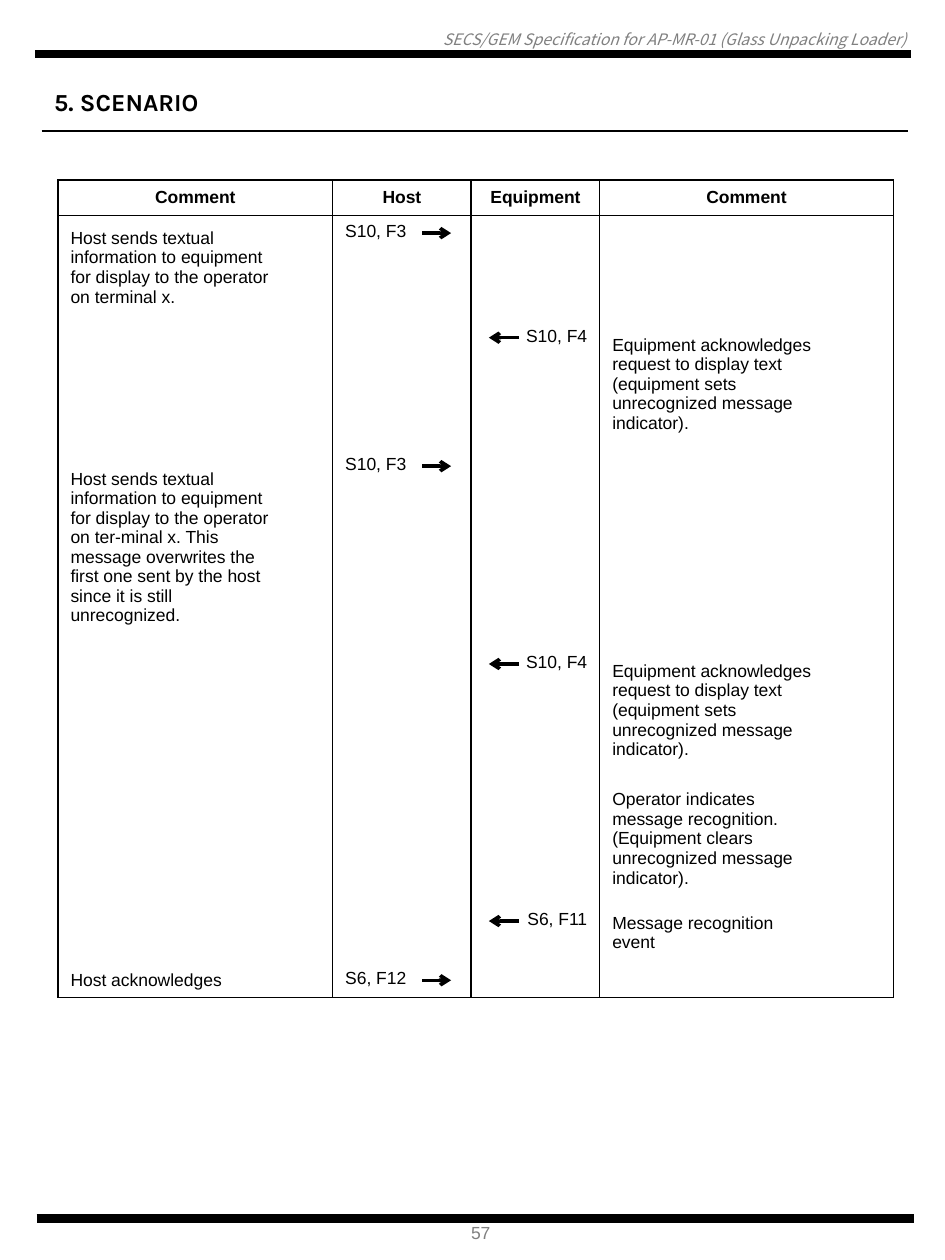
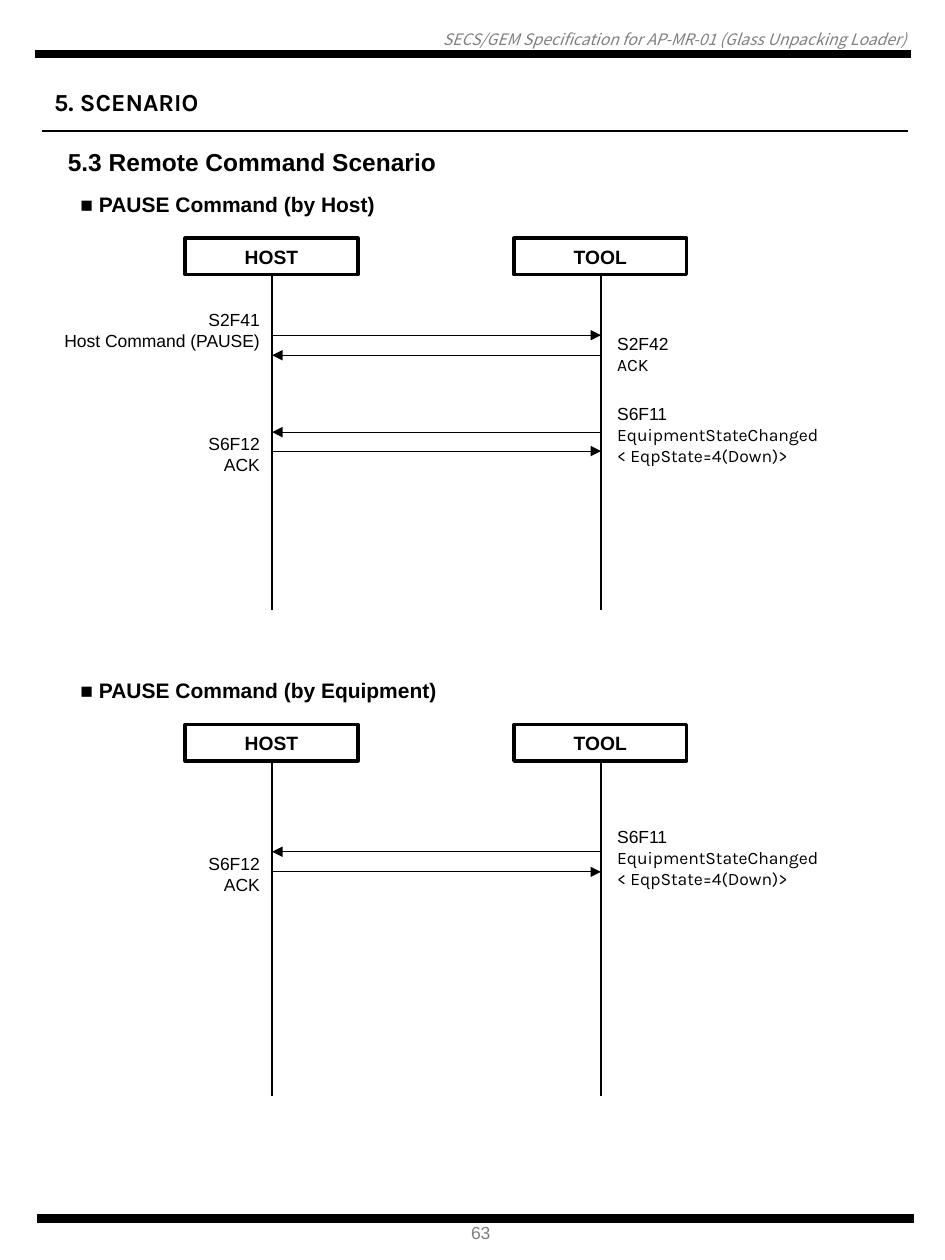
from collections import namedtuple
from dataclasses import dataclass
from itertools import accumulate

from lxml import etree
from pptx import Presentation
from pptx.dml.color import RGBColor
from pptx.enum.shapes import MSO_CONNECTOR, MSO_SHAPE
from pptx.enum.text import MSO_ANCHOR, MSO_AUTO_SIZE, PP_ALIGN
from pptx.oxml.ns import qn
from pptx.util import Inches, Pt

STRAIGHT = MSO_CONNECTOR.STRAIGHT
RECTANGLE = MSO_SHAPE.RECTANGLE
TOP, MIDDLE = MSO_ANCHOR.TOP, MSO_ANCHOR.MIDDLE
LEFT, CENTER, RIGHT = PP_ALIGN.LEFT, PP_ALIGN.CENTER, PP_ALIGN.RIGHT
NO_AUTOFIT = MSO_AUTO_SIZE.NONE


@dataclass(frozen=True)
class Theme:
    """Colours, fonts and type sizes of the document."""
    ink: RGBColor = RGBColor(0, 0, 0)
    paper: RGBColor = RGBColor(255, 255, 255)
    grey: RGBColor = RGBColor(128, 128, 128)
    body_font: str = "Arial"
    accent_font: str = "Karla"
    header_font: str = "Noto Sans CJK KR"
    header: float = 9
    body: float = 10
    box: float = 11
    heading: float = 12
    title: float = 14
    band: float = 4.75
    rule: float = 0.75


THEME = Theme()
Box = namedtuple("Box", "left top width height")
Message = namedtuple("Message", "sender arrow_y label_y lines")

TITLE = "5. SCENARIO"
HEADER = "SECS/GEM Specification for AP-MR-01 (Glass Unpacking Loader)"
COLUMNS = [2.18, 1.1, 1.02, 2.33]
COLUMN_HEADS = ["Comment", "Host", "Equipment", "Comment"]
DISPLAY_TEXT = "Host sends textual\ninformation to equipment\nfor display to the operator\n"
ACKNOWLEDGE = ("Equipment acknowledges\nrequest to display text\n(equipment sets\n"
               "unrecognized message\nindicator).")
STEPS = [
    (0.83, DISPLAY_TEXT + "on terminal x.", "S10, F3", "", ""),
    (1.02, "", "", "S10, F4", ACKNOWLEDGE),
    (1.57, DISPLAY_TEXT + "on ter-minal x. This\nmessage overwrites the\n"
     "first one sent by the host\nsince it is still\nunrecognized.", "S10, F3", "", ""),
    (1.02, "", "", "S10, F4", ACKNOWLEDGE),
    (1.02, "", "", "", "Operator indicates\nmessage recognition.\n(Equipment clears\n"
     "unrecognized message\nindicator)."),
    (0.47, "", "", "S6, F11", "Message recognition\nevent"),
    (0.28, "Host acknowledges", "S6, F12", "", ""),
]
STATE_CHANGED = "S6F11\nEquipmentStateChanged\n< EqpState=4(Down)>"
PAUSE_SCENARIOS = [
    ("■ PAUSE Command (by Host)", [
        Message("HOST", 1.19, 0.93, "S2F41\nHost Command (PAUSE)"),
        Message("TOOL", 1.35, 1.12, "S2F42\nACK"),
        Message("TOOL", 1.96, 1.67, STATE_CHANGED),
        Message("HOST", 2.11, 1.91, "S6F12\nACK"),
    ]),
    ("■ PAUSE Command (by Equipment)", [
        Message("TOOL", 1.43, 1.17, STATE_CHANGED),
        Message("HOST", 1.59, 1.39, "S6F12\nACK"),
    ]),
]


def style_text(tf, size, bold=False, italic=False, color=THEME.ink,
               font=THEME.body_font, align=LEFT):
    """Format every paragraph and run of a text frame."""
    for p in tf.paragraphs:
        p.alignment = align
        for r in p.runs:
            r.font.size, r.font.bold, r.font.italic = Pt(size), bold, italic
            r.font.name, r.font.color.rgb = font, color


def add_text(s, box, text, size, wrap=True, anchor=TOP, **style):
    """Add a formatted text box and return its text frame."""
    tf = s.shapes.add_textbox(*map(Inches, box)).text_frame
    tf.text, tf.word_wrap, tf.vertical_anchor = text, wrap, anchor
    style_text(tf, size, **style)
    return tf


def add_line(s, start, end, width, arrow=None):
    """Draw a straight line, with an arrowhead at its end if one is named."""
    line = s.shapes.add_connector(STRAIGHT, *map(Inches, (*start, *end)))
    line.line.color.rgb, line.line.width = THEME.ink, Pt(width)
    if arrow:
        etree.SubElement(line.line._get_or_add_ln(), qn("a:tailEnd"), type=arrow)
    etree.SubElement(line._element.spPr, qn("a:effectLst"))


def add_page(prs, number):
    """Add a slide with the title, header, bands and page number."""
    s = prs.slides.add_slide(prs.slide_layouts[5])
    title = s.shapes.title
    title.left, title.top, title.width, title.height = map(Inches, (0.33, 0.64, 1.5, 0.34))
    tf = title.text_frame
    tf.text, tf.word_wrap, tf.vertical_anchor = TITLE, False, TOP
    tf.auto_size = NO_AUTOFIT
    style_text(tf, THEME.title, bold=True, font=THEME.accent_font)
    add_line(s, (0.33, 1.04), (7.21, 1.04), THEME.rule)

    header = add_text(s, Box(0.05, 0.24, 7.14, 0.15), HEADER, THEME.header, italic=True,
                      color=THEME.grey, font=THEME.header_font, align=RIGHT)
    header.margin_left = header.margin_right = header.margin_top = header.margin_bottom = 0
    add_line(s, (0.28, 0.43), (7.23, 0.43), THEME.band)
    add_line(s, (0.29, 9.67), (7.25, 9.67), THEME.band)
    add_text(s, Box(3.64, 9.65, 0.37, 0.27), str(number), THEME.body, wrap=False,
             color=THEME.grey)
    return s


def set_borders(cell, sides):
    """Draw the named cell sides and clear the others."""
    tc_pr = cell._tc.get_or_add_tcPr()
    for i, side in enumerate("LRTB"):
        ln = etree.Element(qn(f"a:ln{side}"), w=str(Pt(1)))
        if side in sides:
            fill = etree.SubElement(ln, qn("a:solidFill"))
            etree.SubElement(fill, qn("a:srgbClr"), val=str(THEME.ink))
        else:
            etree.SubElement(ln, qn("a:noFill"))
        tc_pr.insert(i, ln)


def fill_cell(cell, text, sides, **style):
    """Write and format one table cell."""
    cell.text = text
    cell.fill.background()
    style_text(cell.text_frame, THEME.body, **style)
    if not text:
        end = cell.text_frame.paragraphs[0]._p.get_or_add_endParaRPr()
        end.set("sz", str(THEME.body * 100))
    set_borders(cell, sides)


def add_message_table(s, left, top):
    """Build the host and equipment table with an arrow beside each message."""
    heights = [0.28] + [step[0] for step in STEPS]
    box = Box(left, top, sum(COLUMNS), sum(heights))
    frame = s.shapes.add_table(len(heights), len(COLUMNS), *map(Inches, box))
    table = frame.table
    table.first_row = table.horz_banding = False
    for column, width in zip(table.columns, COLUMNS):
        column.width = Inches(width)
    for row, height in zip(table.rows, heights):
        row.height = Inches(height)
    for j, text in enumerate(COLUMN_HEADS):
        cell = table.cell(0, j)
        fill_cell(cell, text, "LRTB", bold=True, align=CENTER)
        cell.vertical_anchor = MIDDLE

    host_x, equipment_x = [left + x for x in accumulate(COLUMNS)][:2]
    row_tops = [top + y for y in accumulate(heights)]
    for i, (_, *texts) in enumerate(STEPS, 1):
        sides = "LR" + ("T" if i == 1 else "") + ("B" if i == len(STEPS) else "")
        for j, text in enumerate(texts):
            cell = table.cell(i, j)
            fill_cell(cell, text, sides, align=RIGHT if j == 2 else LEFT)
            cell.vertical_anchor = MIDDLE if j in (0, 3) else TOP
        y = row_tops[i - 1] + 0.14
        if texts[1]:
            add_line(s, (host_x + 0.71, y), (host_x + 0.94, y), 2, "arrow")
        if texts[2]:
            add_line(s, (equipment_x + 0.38, y), (equipment_x + 0.14, y), 2, "arrow")


def add_lifeline(s, x, top, name):
    """Draw a named box with the vertical line below it."""
    box = Box(x - 0.69, top, 1.37, 0.29)
    sp = s.shapes.add_shape(RECTANGLE, *map(Inches, box))
    sp.shadow.inherit = False
    sp.fill.solid()
    sp.fill.fore_color.rgb = THEME.paper
    sp.line.color.rgb, sp.line.width = THEME.ink, Pt(2)
    sp.text_frame.text = name
    sp.text_frame.vertical_anchor = MIDDLE
    style_text(sp.text_frame, THEME.box, bold=True, align=CENTER)
    add_line(s, (x, top + 0.29), (x, top + 2.95), THEME.rule)


def add_message(s, message, top, lifelines):
    """Draw one arrow from its sender and the label beside the sender."""
    start = lifelines[message.sender]
    end = next(x for name, x in lifelines.items() if name != message.sender)
    y = top + message.arrow_y
    add_line(s, (start, y), (end, y), 0.5, "triangle")

    from_host = message.sender == "HOST"
    height = 0.1 + 0.17 * len(message.lines.splitlines())
    label_left = start - 2.1 if from_host else start + 0.03
    tf = add_text(s, Box(label_left, top + message.label_y, 2.1, height), message.lines,
                  THEME.body, anchor=MIDDLE, align=RIGHT if from_host else LEFT)
    for i, p in enumerate(tf.paragraphs):
        p.line_spacing = Pt(12)
        if i and not from_host:
            p.runs[0].font.name = THEME.accent_font


def add_sequence(s, left, top, heading, messages):
    """Build one sequence diagram under its heading."""
    add_text(s, Box(left, top, 6.75, 0.3), heading, THEME.heading, bold=True)
    lifelines = {"HOST": left + 1.62, "TOOL": left + 4.23}
    for name, x in lifelines.items():
        add_lifeline(s, x, top + 0.42, name)
    for message in messages:
        add_message(s, message, top, lifelines)


def main():
    """Build and save both pages."""
    prs = Presentation()
    prs.slide_width, prs.slide_height = Inches(7.5), Inches(10)

    add_message_table(add_page(prs, 57), 0.46, 1.43)

    s = add_page(prs, 63)
    add_text(s, Box(0.44, 1.12, 3.14, 0.34), "5.3 Remote Command Scenario", THEME.title,
             wrap=False, bold=True)
    for i, (heading, messages) in enumerate(PAUSE_SCENARIOS):
        add_sequence(s, 0.54, 1.47 + 3.86 * i, heading, messages)

    prs.save("out.pptx")


if __name__ == "__main__":
    main()
